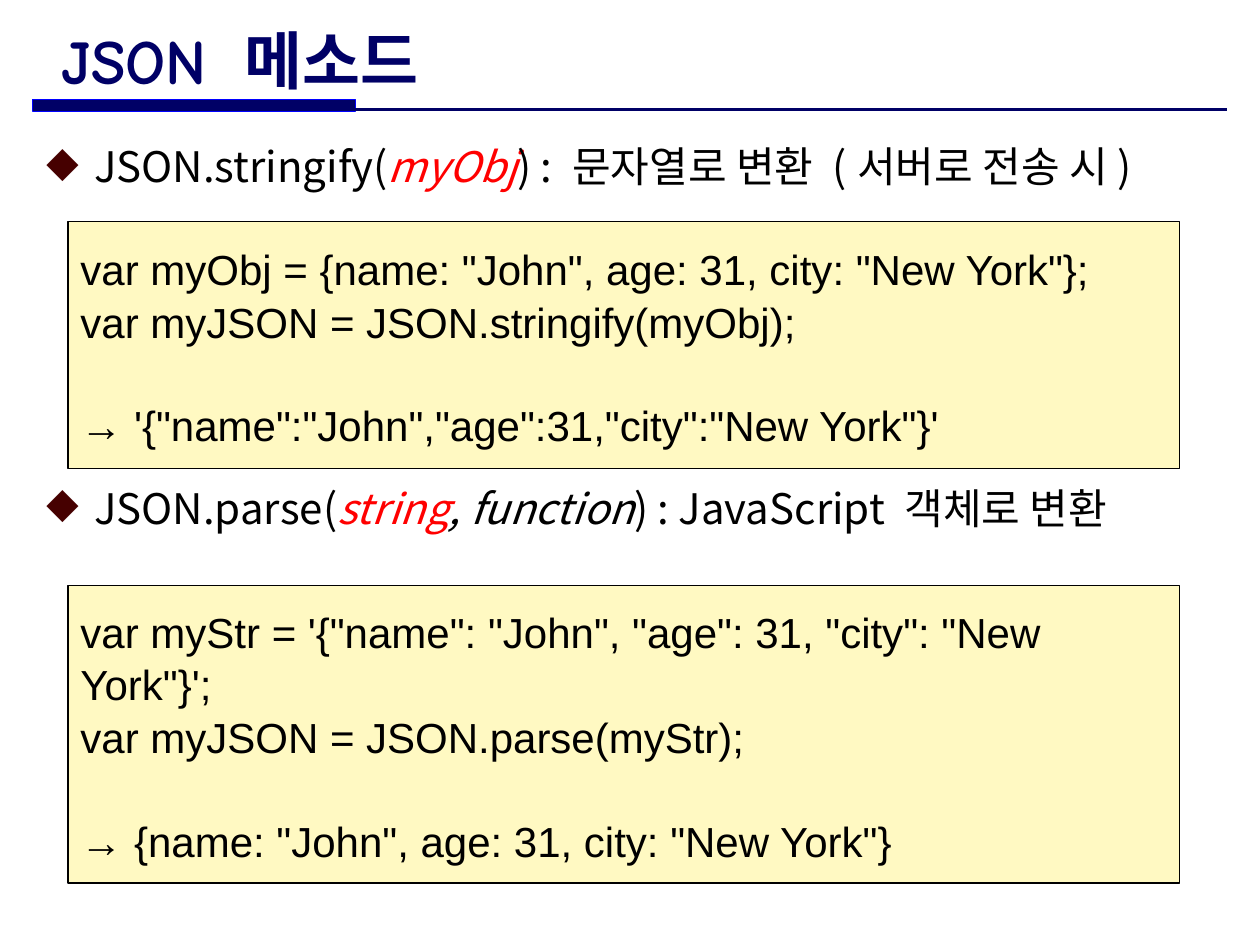
"""Builds a slide about the JSON methods stringify and parse."""
from typing import NamedTuple

import lxml.etree
import pptx
import pptx.dml.color
import pptx.enum.shapes
import pptx.enum.text
import pptx.oxml.ns
import pptx.util

Inches = pptx.util.Inches
Pt = pptx.util.Pt
qn = pptx.oxml.ns.qn
MIDDLE = pptx.enum.text.MSO_ANCHOR.MIDDLE
RECTANGLE = pptx.enum.shapes.MSO_SHAPE.RECTANGLE
NAVY, BLACK, RED = "000066", "000000", "FF0000"
KOREAN_FONT = "Noto Sans CJK KR"


class Piece(NamedTuple):
    text: str
    color: str = BLACK
    italic: bool = False


class Heading(NamedTuple):
    pieces: tuple[Piece, ...]
    space_before: float


class CodeBox(NamedTuple):
    top: float
    height: float
    statements: tuple[str, ...]
    result: str


HEADINGS = (
    Heading((Piece("JSON.stringify("), Piece("myObj", RED, True),
             Piece(") : 문자열로 변환 (서버로 전송 시)")), 0),
    Heading((Piece("JSON.parse("), Piece("string", RED, True),
             Piece(", function", BLACK, True),
             Piece(") : JavaScript 객체로 변환")), 166.4),
)
CODE_BOXES = (
    CodeBox(1.76, 1.96,
            ('var myObj = {name: "John", age: 31, city: "New York"};',
             "var myJSON = JSON.stringify(myObj);"),
            '→ \'{"name":"John","age":31,"city":"New York"}\''),
    CodeBox(4.65, 2.36,
            ('var myStr = \'{"name": "John", "age": 31, "city": "New York"}\';',
             "var myJSON = JSON.parse(myStr);"),
            '→ {name: "John", age: 31, city: "New York"}'),
)


def rgb(value: str) -> pptx.dml.color.RGBColor:
    return pptx.dml.color.RGBColor.from_string(value)


def add_run(paragraph, text: str, *, font: str, size: float = 24,
            color: str = BLACK, bold: bool = False, italic: bool = False) -> None:
    run = paragraph.add_run()
    run.text = text
    run.font.name = font
    run.font.size = Pt(size)
    run.font.bold = bold
    run.font.italic = italic
    run.font.color.rgb = rgb(color)
    east_asian = lxml.etree.SubElement(run.font._element, qn("a:ea"))
    east_asian.set("typeface", KOREAN_FONT)


def next_paragraph(frame, index: int):
    return frame.add_paragraph() if index else frame.paragraphs[0]


def add_text_frame(slide, left: float, top: float, width: float, height: float):
    shape = slide.shapes.add_textbox(Inches(left), Inches(top), Inches(width), Inches(height))
    shape.text_frame.word_wrap = True
    return shape.text_frame


def add_rectangle(slide, left: float, top: float, width: float, height: float,
                  fill: str, line: str):
    shape = slide.shapes.add_shape(
        RECTANGLE, Inches(left), Inches(top), Inches(width), Inches(height))
    shape.shadow.inherit = False
    shape.fill.solid()
    shape.fill.fore_color.rgb = rgb(fill)
    shape.line.color.rgb = rgb(line)
    shape.line.width = Pt(0.75)
    return shape


def add_bullet(paragraph) -> None:
    properties = paragraph._p.get_or_add_pPr()
    properties.set("marL", str(Inches(0.38)))
    properties.set("indent", str(-Inches(0.38)))
    color = lxml.etree.SubElement(properties, qn("a:buClr"))
    lxml.etree.SubElement(color, qn("a:srgbClr")).set("val", "460000")
    lxml.etree.SubElement(properties, qn("a:buChar")).set("char", "◆")


def add_title(slide) -> None:
    add_rectangle(slide, 0.26, 0.79, 2.56, 0.09, NAVY, "0000FF")
    rule = slide.shapes.add_connector(
        pptx.enum.shapes.MSO_CONNECTOR.STRAIGHT,
        Inches(0.26), Inches(0.87), Inches(9.74), Inches(0.87))
    rule.line.color.rgb = rgb(NAVY)
    rule.line.width = Pt(1.5)
    lxml.etree.SubElement(rule._element.spPr, qn("a:effectLst"))
    frame = add_text_frame(slide, 0.39, 0.21, 6.79, 0.52)
    frame.vertical_anchor = MIDDLE
    add_run(frame.paragraphs[0], "JSON 메소드", font="Comic Neue", size=36,
            color=NAVY, bold=True)


def add_headings(slide, headings: tuple[Heading, ...]) -> None:
    frame = add_text_frame(slide, 0.27, 1.07, 9.46, 5.9)
    for index, heading in enumerate(headings):
        paragraph = next_paragraph(frame, index)
        paragraph.space_before = Pt(heading.space_before)
        add_bullet(paragraph)
        for piece in heading.pieces:
            add_run(paragraph, piece.text, font=KOREAN_FONT,
                    color=piece.color, italic=piece.italic)


def add_code_box(slide, box: CodeBox) -> None:
    shape = add_rectangle(slide, 0.54, box.top, 8.82, box.height, "FFF9C2", BLACK)
    frame = shape.text_frame
    frame.word_wrap = True
    frame.vertical_anchor = MIDDLE
    for index, text in enumerate((*box.statements, box.result)):
        paragraph = next_paragraph(frame, index)
        paragraph.alignment = pptx.enum.text.PP_ALIGN.LEFT
        paragraph.line_spacing = 1.05
        paragraph.space_before = Pt(28.8 if text == box.result else 0)
        add_run(paragraph, text, font="Arial")


def main() -> None:
    presentation = pptx.Presentation()
    presentation.slide_width = Inches(10)
    presentation.slide_height = Inches(7.5)
    slide = presentation.slides.add_slide(presentation.slide_layouts[6])
    add_title(slide)
    add_headings(slide, HEADINGS)
    for box in CODE_BOXES:
        add_code_box(slide, box)
    presentation.save("out.pptx")


main()
